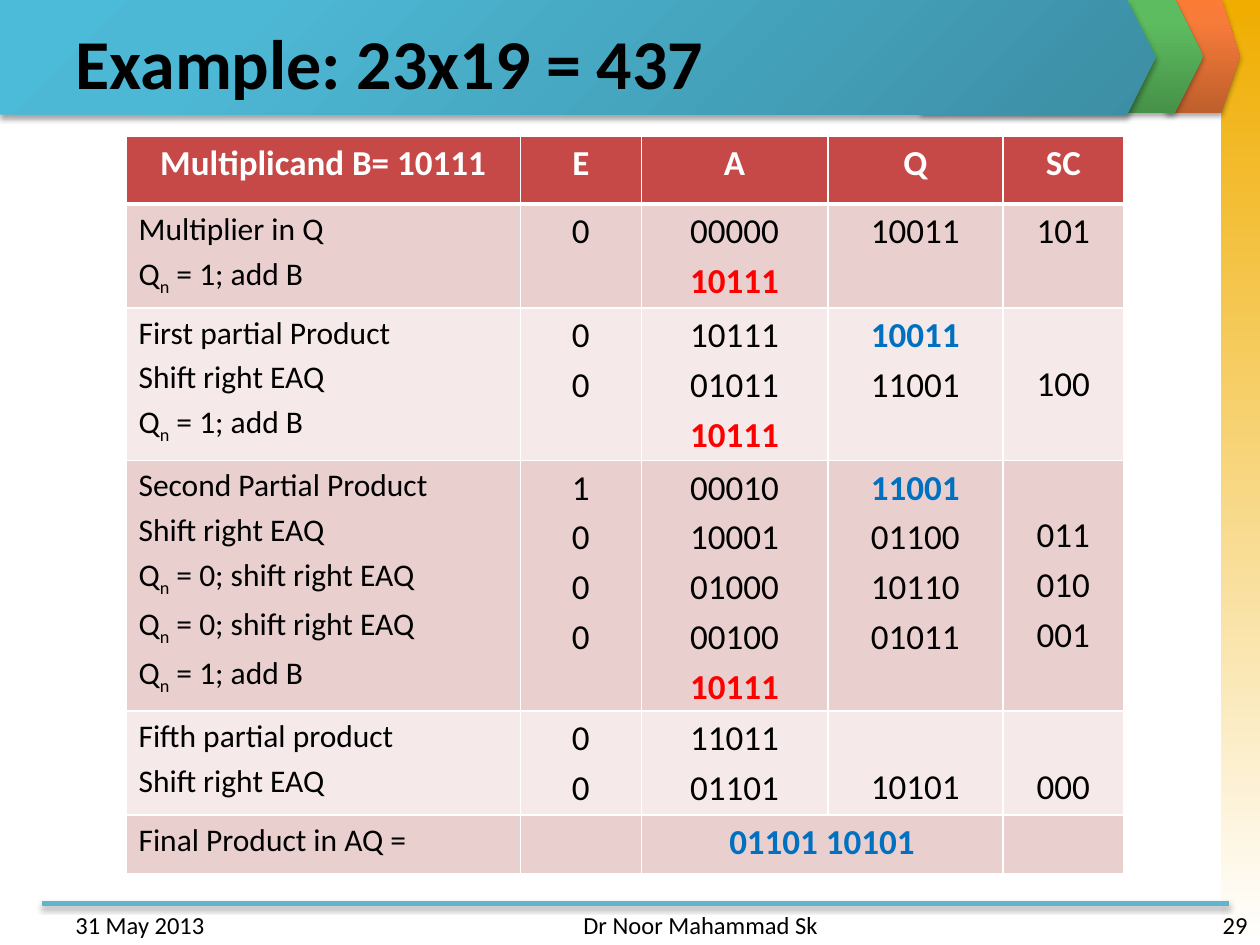
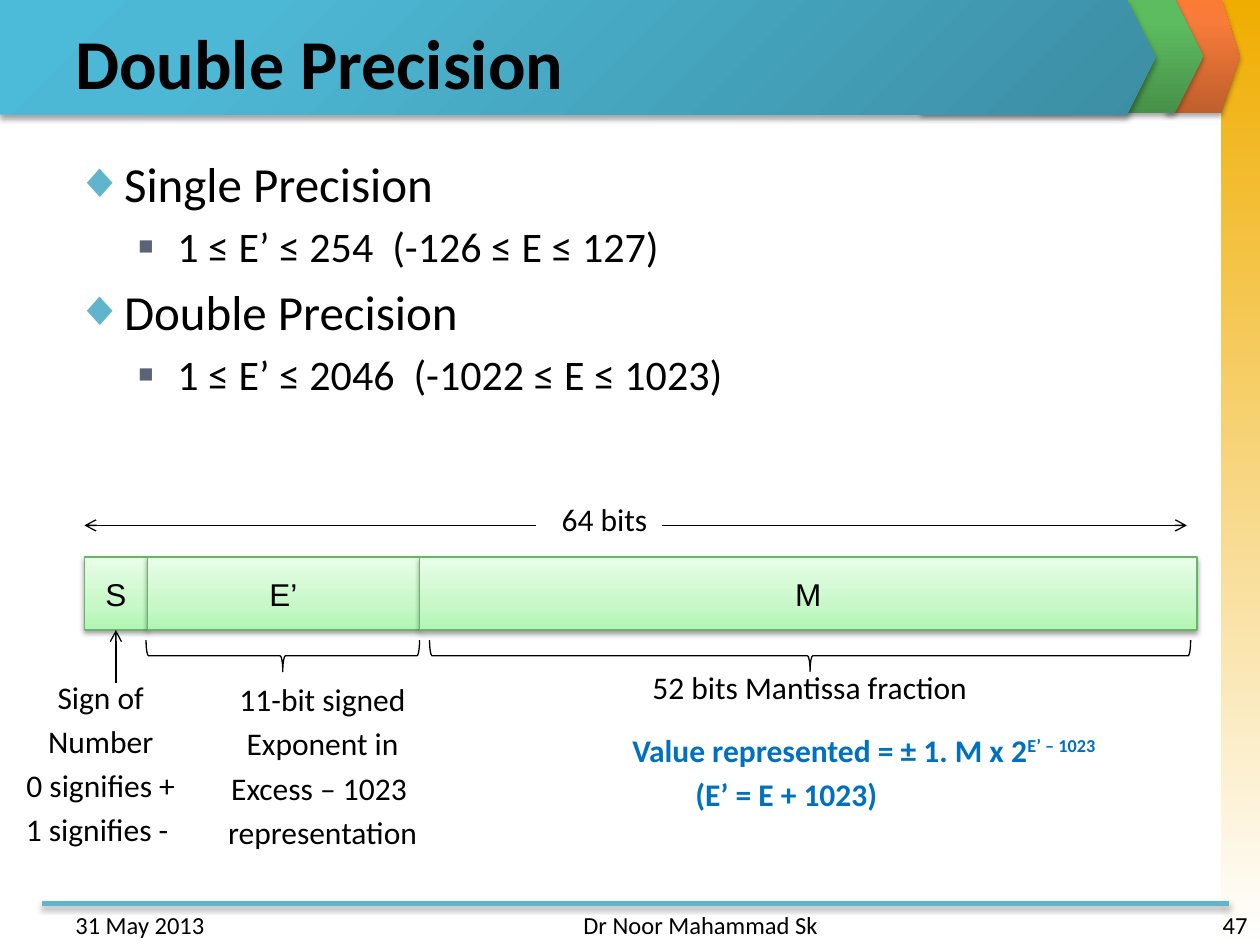
"""Build two lecture slides on binary multiplication and double precision."""
import itertools
from typing import Any, NamedTuple, Optional, Sequence

import pptx
import pptx.dml.color
import pptx.enum.shapes
import pptx.enum.text
import pptx.oxml
import pptx.oxml.ns
import pptx.slide
import pptx.util

Inches = pptx.util.Inches
KIND = pptx.enum.shapes.MSO_SHAPE
ALIGN = pptx.enum.text.PP_ALIGN
ANCHOR = pptx.enum.text.MSO_ANCHOR
TOP, MID, LOW = ANCHOR.TOP, ANCHOR.MIDDLE, ANCHOR.BOTTOM
BLACK, WHITE, RED, BLUE = "000000", "FFFFFF", "FF0000", "0070C0"
TEAL, SLATE, LEAF = "60B5CC", "5A6378", "67B569"
HEAD, BANDS = "C64847", ("EACFCF", "F5E9E9")
HUES = {"!": RED, "+": BLUE}


class Box(NamedTuple):
    """Left, top, width and height in inches."""
    left: float
    top: float
    width: float
    height: float


class Fade(NamedTuple):
    """Gradient stops with an angle, or a corner focus when there is none."""
    stops: Sequence[tuple[int, str]]
    angle: Optional[int] = None


class Plate(NamedTuple):
    """One piece of the slide frame."""
    kind: Any
    box: Box
    fade: Fade


class Bullet(NamedTuple):
    """Bullet sign, colour and size in percent."""
    sign: str
    hue: str
    size: int


class Line(NamedTuple):
    """One paragraph; text between bars is raised or lowered by shift."""
    text: str
    size: float = 18
    hue: str = BLACK
    bold: bool = False
    align: Any = ALIGN.LEFT
    font: str = "Calibri"
    shift: int = -25
    level: int = 0
    left: float = 0
    hang: float = 0
    bullet: Optional[Bullet] = None


class Cell(NamedTuple):
    """Lines of one table cell; a leading ! or + picks the accent."""
    text: str = ""
    anchor: Any = TOP


class Note(NamedTuple):
    """A caption beside the bit layout."""
    box: Box
    lines: Sequence[Line]
    wrap: bool = False


GOLD = Plate(KIND.RECTANGLE, Box(9.69, 0, 0.31, 7.5), Fade([(0, "F0AD00"), (100, WHITE)], 90))
ARROWS = (
    Plate(KIND.PENTAGON, Box(9.25, -0.01, 0.59, 0.91),
          Fade([(0, "BE5F2C"), (80, "F77B39"), (100, "FC7B35")], 270)),
    Plate(KIND.PENTAGON, Box(7.31, -0.01, 2.24, 0.91),
          Fade([(0, "479149"), (80, "5DBC5F"), (100, "5BBF5E")], 270)),
    Plate(KIND.PENTAGON, Box(0, 0, 9.17, 0.91),
          Fade([(0, "3C8EA4"), (80, "4DB8D5"), (100, "4BBBD9")])),
)
MINT = Fade([(0, "B0F6B1"), (35, "C8F8C8"), (100, "E9FDE9")], 270)

COLS = (3.13, 0.96, 1.48, 1.39, 0.96)
ROWS = (0.54, 0.77, 1.12, 1.82, 0.77, 0.47)
STEPS = (
    (Cell("Multiplicand B= 10111"), Cell("E"), Cell("A"), Cell("Q"), Cell("SC")),
    (Cell("Multiplier in Q\nQ|n| = 1; add B"), Cell("0"), Cell("00000\n!10111"),
     Cell("10011"), Cell("101")),
    (Cell("First partial Product\nShift right EAQ\nQ|n| = 1; add B"), Cell("0\n0"),
     Cell("10111\n01011\n!10111"), Cell("+10011\n11001"), Cell("100", MID)),
    (Cell("Second Partial Product\nShift right EAQ\nQ|n| = 0; shift right EAQ\n"
          "Q|n| = 0; shift right EAQ\nQ|n| = 1; add B"), Cell("1\n0\n0\n0"),
     Cell("00010\n10001\n01000\n00100\n!10111"), Cell("+11001\n01100\n10110\n01011"),
     Cell("011\n010\n001", MID)),
    (Cell("Fifth partial product\nShift right EAQ"), Cell("0\n0"), Cell("11011\n01101"),
     Cell("10101", LOW), Cell("000", LOW)),
    (Cell("Final Product in AQ ="), Cell(), Cell("+01101 10101"), Cell(), Cell()),
)

DIAMOND, SQUARE = Bullet("◆", TEAL, 100), Bullet("■", SLATE, 60)
RANGES = (("Single Precision", "1 ≤ E’ ≤ 254  (-126 ≤ E ≤ 127)"),
          ("Double Precision", "1 ≤ E’ ≤ 2046  (-1022 ≤ E ≤ 1023)"))
FIELDS = (("S", 0.5), ("E’", 2.16), ("M", 6.17))
NOTES = (
    Note(Box(4.36, 3.92, 0.89, 0.4), [Line("64 bits")]),
    Note(Box(5.08, 5.25, 2.73, 0.4), [Line("52 bits Mantissa fraction")]),
    Note(Box(1.7, 5.35, 1.72, 1.31), [Line(t, align=ALIGN.CENTER) for t in (
        "11-bit signed", "Exponent in", "Excess – 1023 ", "representation")]),
    Note(Box(0.1, 5.33, 1.4, 1.31), [Line(t, align=ALIGN.CENTER) for t in (
        "Sign of", "Number", "0 signifies +", "1 signifies - ")]),
    Note(Box(3.92, 5.75, 5, 0.71), [
        Line("Value represented = ± 1. M x 2|E’ – 1023|", hue=BLUE, bold=True, shift=30, left=1),
        Line("(E’ = E + 1023)", hue=BLUE, bold=True, left=1.5)], True),
)


def rgb(code: str) -> pptx.dml.color.RGBColor:
    """Turn a hex string into a colour."""
    return pptx.dml.color.RGBColor.from_string(code)


def node(tag: str, body: str = "", attrs: str = "") -> Any:
    """Make one drawing element."""
    space = pptx.oxml.ns.nsdecls("a")
    return pptx.oxml.parse_xml(f"<a:{tag} {space} {attrs}>{body}</a:{tag}>")


def tint(code: str, body: str = "") -> str:
    """Give the XML of a colour."""
    return f'<a:srgbClr val="{code}">{body}</a:srgbClr>'


def blend(shape: Any, fade: Fade) -> None:
    """Fill a shape with a gradient."""
    stops = "".join(f'<a:gs pos="{at * 1000}">{tint(code)}</a:gs>' for at, code in fade.stops)
    way = ('<a:path path="circle"><a:fillToRect l="100000" t="100000"/></a:path>'
           if fade.angle is None else f'<a:lin ang="{fade.angle * 60000}" scaled="0"/>')
    shape.fill.background()
    props = shape._element.spPr
    props.replace(props.find(pptx.oxml.ns.qn("a:noFill")),
                  node("gradFill", f"<a:gsLst>{stops}</a:gsLst>{way}", 'rotWithShape="1"'))


def shade(shape: Any, alpha: int = 0, drop: float = 1.8) -> None:
    """Replace the theme shadow by a soft one, or by none."""
    props = shape._element.spPr
    old = props.find(pptx.oxml.ns.qn("a:effectLst"))
    if old is not None:
        props.remove(old)
    glow = (f'<a:outerShdw blurRad="{pptx.util.Pt(3.1)}" dist="{pptx.util.Pt(drop)}" '
            f'dir="5400000" rotWithShape="0">'
            f'{tint(BLACK, f"""<a:alpha val="{alpha * 1000}"/>""")}</a:outerShdw>')
    props.append(node("effectLst", glow if alpha else ""))


def write(frame: Any, lines: Sequence[Line]) -> None:
    """Write lines as paragraphs."""
    for spot, line in enumerate(lines):
        para = frame.add_paragraph() if spot else frame.paragraphs[0]
        para.alignment, para.level = line.align, line.level
        if spot:
            para.space_before = pptx.util.Pt(line.size * 0.2)
        props = para._p.get_or_add_pPr()
        props.set("marL", str(Inches(line.left)))
        props.set("indent", str(Inches(line.hang)))
        if line.bullet:
            props.append(node("buClr", tint(line.bullet.hue)))
            props.append(node("buSzPct", attrs=f'val="{line.bullet.size * 1000}"'))
            props.append(node("buFont", attrs='typeface="Arial"'))
            props.append(node("buChar", attrs=f'char="{line.bullet.sign}"'))
        font = para.font
        font.name, font.size, font.bold = line.font, pptx.util.Pt(line.size), line.bold
        font.color.rgb = rgb(line.hue)
        for turn, part in enumerate(line.text.split("|")):
            if part:
                run = para.add_run()
                run.text = part
                if turn % 2:
                    run._r.get_or_add_rPr().set("baseline", str(line.shift * 1000))


def label(slide: pptx.slide.Slide, box: Box, lines: Sequence[Line],
          anchor: Any = TOP, wrap: bool = True) -> None:
    """Add a text box."""
    frame = slide.shapes.add_textbox(*map(Inches, box)).text_frame
    frame.word_wrap, frame.vertical_anchor = wrap, anchor
    write(frame, lines)


def form(slide: pptx.slide.Slide, kind: Any, box: Box) -> Any:
    """Add a preset shape without shadow."""
    shape = slide.shapes.add_shape(kind, *map(Inches, box))
    shape.shadow.inherit = False
    return shape


def plate(slide: pptx.slide.Slide, item: Plate) -> Any:
    """Add a gradient piece of the frame."""
    shape = form(slide, item.kind, item.box)
    blend(shape, item.fade)
    shape.line.fill.background()
    return shape


def link(slide: pptx.slide.Slide, ends: Sequence[float], hue: str = BLACK,
         width: float = 0.75, arrow: bool = True) -> Any:
    """Add a straight line, with an arrowhead if wanted."""
    wire = slide.shapes.add_connector(pptx.enum.shapes.MSO_CONNECTOR.STRAIGHT, *map(Inches, ends))
    wire.line.color.rgb, wire.line.width = rgb(hue), pptx.util.Pt(width)
    if arrow:
        wire.line._get_or_add_ln().append(node("tailEnd", attrs='type="arrow"'))
    shade(wire)
    return wire


def brace(slide: pptx.slide.Slide, left: float, width: float) -> None:
    """Add a brace that opens upward below the fields."""
    deep, top = 0.25, 5.08
    box = Box(left + (width - deep) / 2, top + (deep - width) / 2, deep, width)
    shape = form(slide, KIND.LEFT_BRACE, box)
    shape.rotation = 270
    shape.fill.background()
    shape.line.color.rgb, shape.line.width = rgb(BLACK), pptx.util.Pt(0.75)


def start(deck: Any, title: str, page: int) -> pptx.slide.Slide:
    """Add a slide with the shared frame, title and footer."""
    slide = deck.slides.add_slide(deck.slide_layouts[6])
    plate(slide, GOLD)
    for item in ARROWS:
        shape = plate(slide, item)
        shape.adjustments[0] = 0.25
        shade(shape, 35)
    shade(link(slide, (0.33, 7.17, 9.75, 7.17), TEAL, 3, False), 35)
    label(slide, Box(0.5, 0.14, 9, 0.69), [Line(title, 40, bold=True)], MID)
    for left, width, text, align in ((0.5, 2.33, "31 May 2013", ALIGN.LEFT),
                                     (3.42, 3.17, "Dr Noor Mahammad Sk", ALIGN.RIGHT),
                                     (7.67, 2.33, str(page), ALIGN.RIGHT)):
        label(slide, Box(left, 7.17, width, 0.25), [Line(text, 14, align=align)])
    return slide


def edge(cell: Any, row: int) -> None:
    """Draw white borders, thick below the head row."""
    for spot, side in enumerate("LRTB"):
        wide = 3 if (row, side) in ((0, "B"), (1, "T")) else 1
        cell._tc.get_or_add_tcPr().insert(spot, node(
            f"ln{side}", f"<a:solidFill>{tint(WHITE)}</a:solidFill>",
            f'w="{pptx.util.Pt(wide)}"'))


def steps(slide: pptx.slide.Slide) -> None:
    """Add the table of multiplication steps."""
    box = Box(1, 1.08, sum(COLS), sum(ROWS))
    table = slide.shapes.add_table(len(ROWS), len(COLS), *map(Inches, box)).table
    for col, width in zip(table.columns, COLS):
        col.width = Inches(width)
    for row, height in zip(table.rows, ROWS):
        row.height = Inches(height)
    table.cell(5, 2).merge(table.cell(5, 3))
    for row, step in enumerate(STEPS):
        for col, item in enumerate(step):
            cell = table.cell(row, col)
            cell.fill.solid()
            cell.fill.fore_color.rgb = rgb(BANDS[(row - 1) % 2] if row else HEAD)
            cell.vertical_anchor = item.anchor
            edge(cell, row)
            size = 20 if col or not row else 18
            align = ALIGN.CENTER if size == 20 else ALIGN.LEFT
            if item.text:
                write(cell.text_frame, [
                    Line(text.lstrip("!+"), size, HUES.get(text[0], BLACK if row else WHITE),
                         not row or text[0] in HUES, align)
                    for text in item.text.split("\n")])


def layout(slide: pptx.slide.Slide) -> None:
    """Add the 64-bit word with its fields and captions."""
    lefts = itertools.accumulate((width for _, width in FIELDS), initial=0.67)
    cells = []
    for (name, width), left in zip(FIELDS, lefts):
        cell = form(slide, KIND.RECTANGLE, Box(left, 4.42, width, 0.58))
        blend(cell, MINT)
        cell.line.color.rgb, cell.line.width = rgb(LEAF), pptx.util.Pt(0.75)
        shade(cell, 38, 1.6)
        cell.text_frame.vertical_anchor = MID
        write(cell.text_frame, [Line(name, align=ALIGN.CENTER, font="Arial")])
        cells.append(cell)
    link(slide, (4.25, 4.17, 0.67, 4.17))
    link(slide, (5.25, 4.17, 9.42, 4.17))
    link(slide, (0.92, 5.42, 0.92, 5)).end_connect(cells[0], 2)
    brace(slide, 1.16, 2.17)
    brace(slide, 3.41, 6.04)
    for note in NOTES:
        label(slide, note.box, [line for line in note.lines], wrap=note.wrap)


def main() -> None:
    """Build and save the deck."""
    deck = pptx.Presentation()
    deck.slide_width, deck.slide_height = Inches(10), Inches(7.5)
    steps(start(deck, "Example: 23x19 = 437", 29))
    slide = start(deck, "Double Precision", 47)
    label(slide, Box(0.5, 1.17, 9, 2.17), [line for name, span in RANGES for line in (
        Line(name, 28, left=0.38, hang=-0.38, bullet=DIAMOND),
        Line(span, 24, level=1, left=0.81, hang=-0.31, bullet=SQUARE))])
    layout(slide)
    deck.save("out.pptx")


if __name__ == "__main__":
    main()
